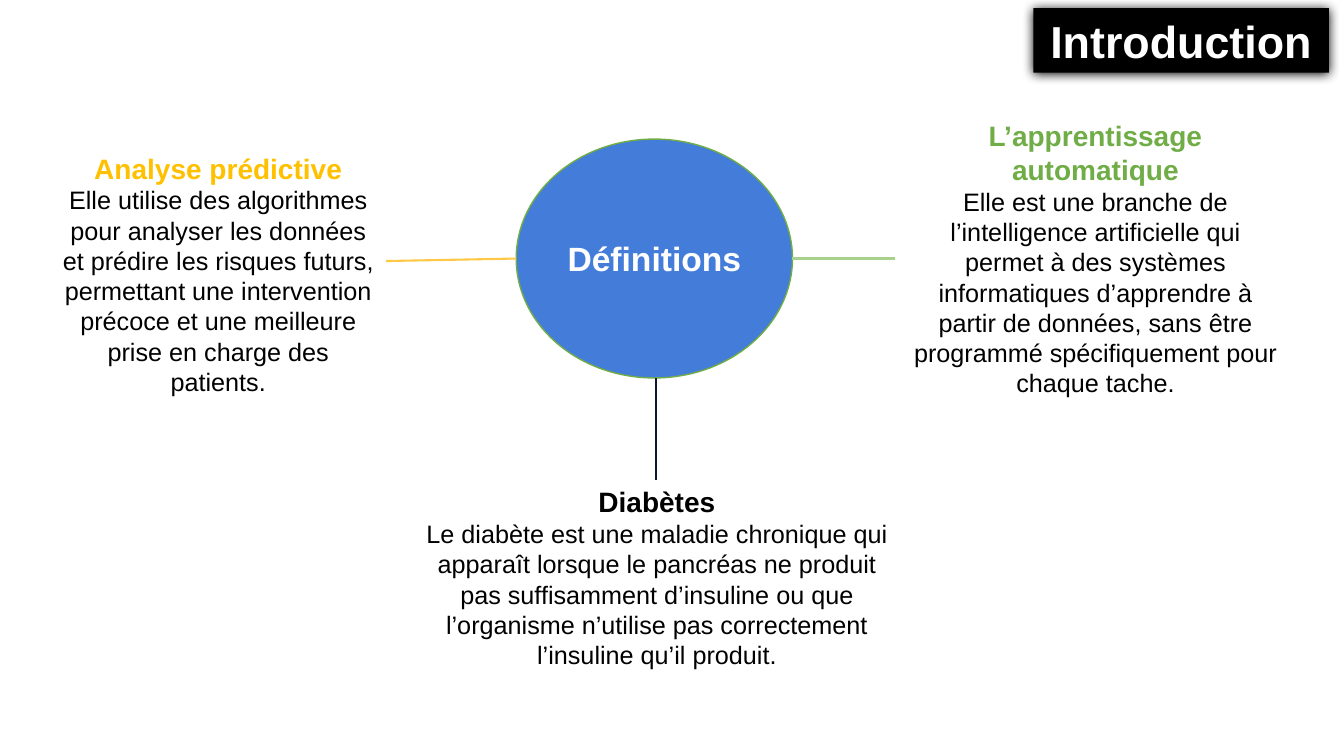
from pptx import Presentation
from pptx.dml.color import RGBColor
from pptx.enum.shapes import MSO_CONNECTOR as LINK, MSO_SHAPE as SHAPE
from pptx.enum.text import MSO_ANCHOR as ANCHOR, MSO_AUTO_SIZE as FIT, PP_ALIGN as ALIGN
from pptx.oxml import parse_xml
from pptx.util import Inches, Pt

NS = 'xmlns:a="http://schemas.openxmlformats.org/drawingml/2006/main"'


def color(hex):
    return RGBColor.from_string(hex)


def write(para, text, size=18, tint="000000", bold=False):
    para.alignment = ALIGN.CENTER
    run = para.add_run()
    run.text = text
    font = run.font
    font.name, font.size, font.bold = "Arial", Pt(size), bold
    font.color.rgb = color(tint)


deck = Presentation()
deck.slide_width, deck.slide_height = Inches(13.33), Inches(7.5)
slide = deck.slides.add_slide(deck.slide_layouts[5])
shapes = slide.shapes

# Title badge: rounded black box with a soft shadow
title = shapes.title
title.left, title.top, title.width, title.height = map(Inches, (10.25, 0.08, 2.93, 0.64))
props = title.element.spPr
props.append(parse_xml(f'<a:prstGeom {NS} prst="roundRect"><a:avLst/></a:prstGeom>'))
title.fill.solid()
title.fill.fore_color.rgb = color("000000")
props.append(parse_xml(
    f'<a:effectLst {NS}><a:outerShdw blurRad="{Pt(8.5)}" dist="{Pt(1)}" dir="5400000">'
    '<a:srgbClr val="000000"/></a:outerShdw></a:effectLst>'))
title.text_frame.auto_size = FIT.NONE
title.text_frame.vertical_anchor = ANCHOR.MIDDLE
write(title.text_frame.paragraphs[0], "Introduction", size=32, tint="FFFFFF", bold=True)

# Hub
left, top, width, height = 5.12, 1.38, 2.74, 2.37
right, base, mid = left + width, top + height, top + height / 2
hub = shapes.add_shape(SHAPE.FLOWCHART_CONNECTOR, *map(Inches, (left, top, width, height)))
hub.shadow.inherit = False
hub.fill.solid()
hub.fill.fore_color.rgb = color("447DD9")
hub.line.color.rgb = color("70AD47")
hub.line.width = Pt(1)
hub.text_frame.vertical_anchor = ANCHOR.MIDDLE
write(hub.text_frame.paragraphs[0], "Définitions", size=24, tint="FFFFFF", bold=True)

# Spokes from the hub to each definition
spokes = [
    (left, mid, 3.83, 2.59, "FFC947"),
    (8.88, mid, right, mid, "A9D18E"),
    (6.51, base, 6.51, 4.76, "0A1931"),
]
for *ends, tint in spokes:
    spoke = shapes.add_connector(LINK.STRAIGHT, *map(Inches, ends))
    spoke.line.color.rgb = color(tint)
    spoke.line.width = Pt(1.5)
    spoke.element.spPr.append(parse_xml(f"<a:effectLst {NS}/>"))

# Definitions
notions = [
    ((0.5, 1.45, 3.33, 2.56), "FFC000", "Analyse prédictive",
     "Elle utilise des algorithmes pour analyser les données et prédire les risques "
     "futurs, permettant une intervention précoce et une meilleure prise en charge "
     "des patients."),
    ((4.12, 4.76, 4.79, 2.29), "000000", "Diabètes",
     "Le diabète est une maladie chronique qui apparaît lorsque le pancréas ne produit "
     "pas suffisamment d’insuline ou que l’organisme n’utilise pas correctement "
     "l’insuline qu’il produit."),
    ((8.91, 1.13, 3.91, 2.89), "70AD47", "L’apprentissage automatique",
     "Elle est une branche de l’intelligence artificielle qui permet à des systèmes "
     "informatiques d’apprendre à partir de données, sans être programmé "
     "spécifiquement pour chaque tache."),
]
for area, tint, term, sense in notions:
    frame = shapes.add_textbox(*map(Inches, area)).text_frame
    frame.word_wrap = True
    frame.auto_size = FIT.SHAPE_TO_FIT_TEXT
    write(frame.paragraphs[0], term, size=20, tint=tint, bold=True)
    write(frame.add_paragraph(), sense)

deck.save("out.pptx")
